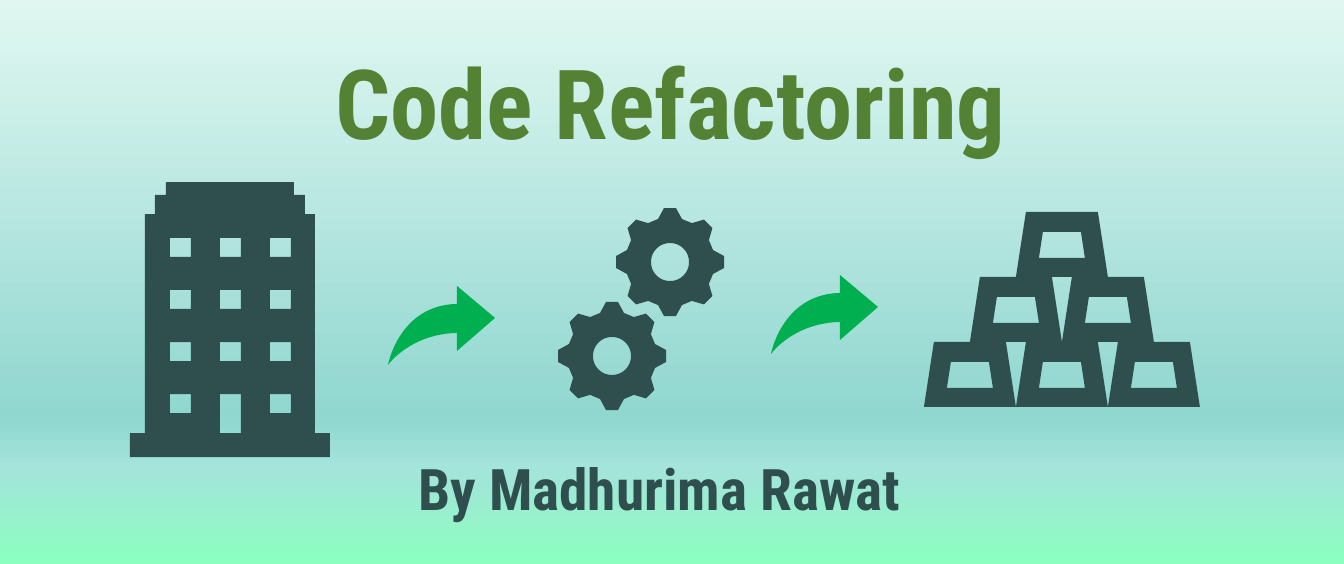
from math import cos, pi, sin

from lxml.etree import SubElement
from pptx import Presentation
from pptx.dml.color import RGBColor
from pptx.enum.text import MSO_ANCHOR, MSO_AUTO_SIZE, PP_ALIGN
from pptx.oxml.ns import qn
from pptx.util import Pt

SCALE = 914400 / 129
FINE = 10
FONT = "Roboto Condensed"
COLORS = {"slate": "2F4F4F", "arrow": "00B050", "title": "548235"}
BACKGROUND = {0: "E0F7F1", 74: "90D7D0", 83: "A3E4DB", 100: "8BFFBF"}


def px(length):
    return round(length * SCALE)


def rectangle(left, top, width, height):
    right, bottom = left + width, top + height
    return [(left, top), (right, top), (right, bottom), (left, bottom)]


def trapezoid(center, top, bottom, half_top, half_bottom):
    return [(center - half_top, top), (center + half_top, top),
            (center + half_bottom, bottom), (center - half_bottom, bottom)]


def curve(start, first, second, end, steps=24):
    """Points along a cubic Bezier curve, both ends included."""
    points = []
    for step in range(steps + 1):
        t = step / steps
        weights = ((1 - t) ** 3, 3 * t * (1 - t) ** 2, 3 * t * t * (1 - t), t ** 3)
        controls = (start, first, second, end)
        points.append(tuple(sum(w * p[axis] for w, p in zip(weights, controls))
                            for axis in (0, 1)))
    return points


class SlideBuilder:
    def __init__(self, presentation):
        self.slide = presentation.slides.add_slide(presentation.slide_layouts[5])

    def background(self, stops):
        fill = self.slide.background.fill
        fill.gradient()
        fill.gradient_angle = 270
        stop_list = self.slide.element.find(".//" + qn("a:gsLst"))
        for stop in list(stop_list):
            stop_list.remove(stop)
        for position, color in stops.items():
            stop = SubElement(stop_list, qn("a:gs"), pos=str(position * 1000))
            SubElement(stop, qn("a:srgbClr"), val=color)

    def outline(self, contours, color):
        """Draw one filled shape; contours inside another become holes."""
        contours = [[(x * FINE, y * FINE) for x, y in contour] for contour in contours]
        builder = self.slide.shapes.build_freeform(*contours[0][0], scale=SCALE / FINE)
        for index, contour in enumerate(contours):
            if index:
                builder.move_to(*contour[0])
            builder.add_line_segments(contour[1:], close=True)
        shape = builder.convert_to_shape()
        shape.shadow.inherit = False
        shape.fill.solid()
        shape.fill.fore_color.rgb = RGBColor.from_string(COLORS[color])
        shape.line.fill.background()

    def set_text(self, shape, text, box, size, color):
        shape.left, shape.top, shape.width, shape.height = map(px, box)
        frame = shape.text_frame
        frame.text = text
        frame.word_wrap = True
        frame.auto_size = MSO_AUTO_SIZE.NONE
        frame.vertical_anchor = MSO_ANCHOR.TOP
        frame.margin_left = frame.margin_right = px(8)
        frame.margin_top = frame.margin_bottom = px(4)
        paragraph = frame.paragraphs[0]
        paragraph.alignment = PP_ALIGN.CENTER
        font = paragraph.runs[0].font
        font.name, font.size, font.bold = FONT, Pt(size), True
        font.color.rgb = RGBColor.from_string(COLORS[color])

    def title(self, text, box, size, color):
        self.set_text(self.slide.shapes.title, text, box, size, color)

    def text(self, text, box, size, color):
        shape = self.slide.shapes.add_textbox(*map(px, box))
        self.set_text(shape, text, box, size, color)

    def building(self, center):
        tiers = [(64, 182), (75, 195), (85, 214), (100, 433)]
        bottoms = [top for _, top in tiers[1:]] + [457]
        right = [(center + half, y) for (half, top), bottom in zip(tiers, bottoms)
                 for y in (top, bottom)]
        left = [(2 * center - x, y) for x, y in reversed(right)]
        openings = []
        for column in range(3):
            for row in range(4):
                is_door = (column, row) == (1, 3)
                openings.append(rectangle(center - 60 + 50 * column, 238 + 52 * row,
                                          21, 39 if is_door else 19))
        self.outline([right + left] + openings, "slate")

    def gear(self, center_x, center_y):
        tooth = [(-12, -43), (-6, -54), (6, -54), (12, -43)]
        rim = []
        for index in range(8):
            c, s = cos(index * pi / 4), sin(index * pi / 4)
            rim += [(center_x + x * c - y * s, center_y + x * s + y * c)
                    for x, y in tooth]
        hole = [(center_x + 19 * cos(step * pi / 30), center_y + 19 * sin(step * pi / 30))
                for step in range(60)]
        self.outline([rim, hole], "slate")

    def swoosh_arrow(self, left, top):
        tail = (0, 79)
        points = [(107, 32), (69, 0)]
        points += curve((69, 18), (11, 19), tail, tail)
        points += curve(tail, tail, (22, 48), (69, 47))[1:]
        points.append((69, 65))
        self.outline([[(left + x, top + y) for x, y in points]], "arrow")

    def ingot_pyramid(self, center, top):
        contours = []
        for row in range(3):
            y = top + 65 * row
            for column in range(row + 1):
                x = center + 92 * column - 46 * row
                contours.append(trapezoid(x, y, y + 65, 36, 46))
                contours.append(trapezoid(x, y + 20, y + 46, 19, 23))
        self.outline(contours, "slate")


def main():
    presentation = Presentation()
    presentation.slide_width, presentation.slide_height = px(1344), px(564)
    banner = SlideBuilder(presentation)
    banner.background(BACKGROUND)
    banner.title("Code Refactoring", (52, 39, 1237, 125), 54, "title")
    banner.building(230)
    banner.swoosh_arrow(388, 286)
    banner.gear(670, 262)
    banner.gear(612, 356)
    banner.swoosh_arrow(771, 275)
    banner.ingot_pyramid(1062, 212)
    banner.text("By Madhurima Rawat", (90, 449, 1139, 77), 32, "slate")
    presentation.save("out.pptx")


if __name__ == "__main__":
    main()
